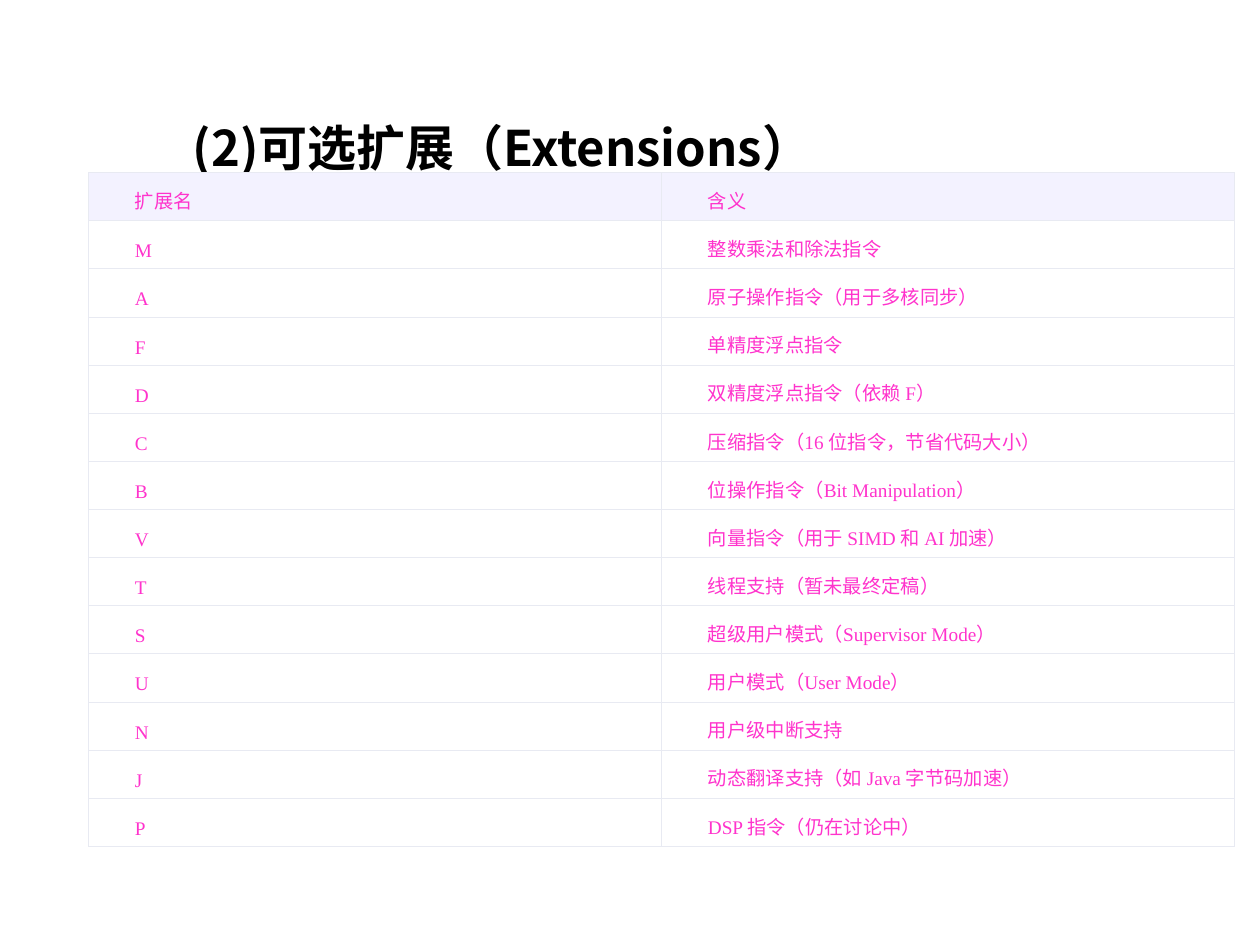
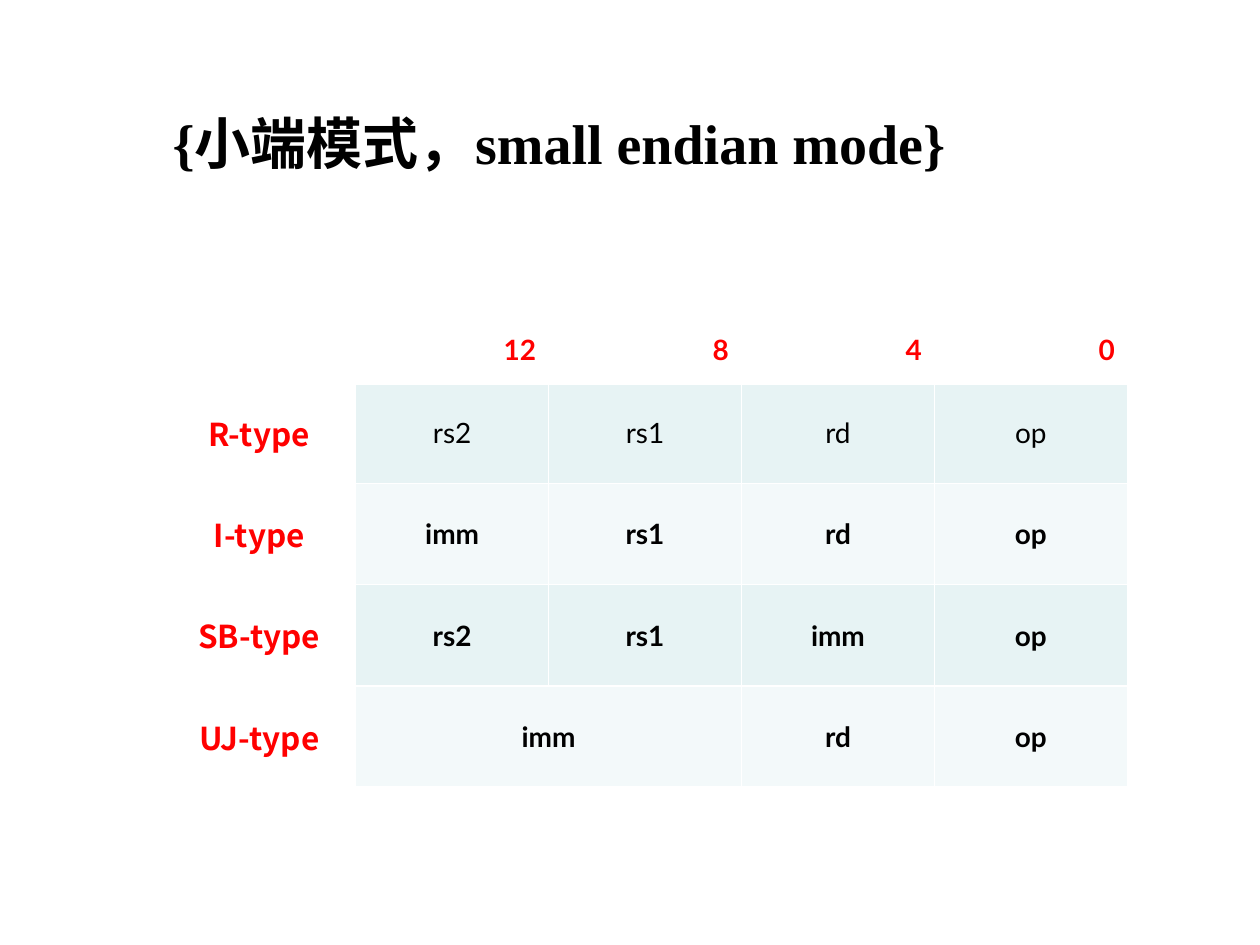
from lxml.etree import SubElement
from pptx import Presentation
from pptx.dml.color import RGBColor
from pptx.enum.text import MSO_ANCHOR as Anchor, MSO_AUTO_SIZE as AutoSize, PP_ALIGN as Align
from pptx.oxml.ns import qn
from pptx.util import Pt

COLORS = {
    "ink": "000000", "white": "FFFFFF", "pink": "FF33CC", "red": "FF0000",
    "header": "F3F2FF", "grid": "E8EAF2", "band_dark": "E7F3F4", "band_light": "F3F9FA",
}
CJK, SERIF, SANS = "Noto Sans CJK SC", "Times New Roman", "Lato"
TITLE_ONLY = 5

EXTENSIONS_TITLE = "(2)可选扩展（Extensions）"
EXTENSIONS = [
    ("扩展名", "含义"),
    ("M", "整数乘法和除法指令"),
    ("A", "原子操作指令（用于多核同步）"),
    ("F", "单精度浮点指令"),
    ("D", "双精度浮点指令（依赖 F）"),
    ("C", "压缩指令（16 位指令，节省代码大小）"),
    ("B", "位操作指令（Bit Manipulation）"),
    ("V", "向量指令（用于 SIMD 和 AI 加速）"),
    ("T", "线程支持（暂未最终定稿）"),
    ("S", "超级用户模式（Supervisor Mode）"),
    ("U", "用户模式（User Mode）"),
    ("N", "用户级中断支持"),
    ("J", "动态翻译支持（如 Java 字节码加速）"),
    ("P", "DSP 指令（仍在讨论中）"),
]

FORMATS_TITLE = "{小端模式，small endian mode}"
BIT_POSITIONS = ["12", "8", "4", "0"]
# None continues the field on its left
FORMATS = [
    ("R-type", ["rs2", "rs1", "rd", "op"]),
    ("I-type", ["imm", "rs1", "rd", "op"]),
    ("SB-type", ["rs2", "rs1", "imm", "op"]),
    ("UJ-type", ["imm", None, "rd", "op"]),
]


def split_by_font(text, latin):
    """Cut text into [piece, font] pairs; a space stays with the piece before it."""
    if latin == CJK:
        return [[text, CJK]]
    pieces = []
    for char in text:
        font = latin if char.isascii() else CJK
        if pieces and (char == " " or pieces[-1][1] == font):
            pieces[-1][0] += char
        else:
            pieces.append([char, font])
    return pieces


def write(frame, text, *, size, color="ink", latin=SANS, bold=True,
          align=Align.JUSTIFY, spacing=None, left=0, indent=0):
    para = frame.paragraphs[0]
    para.alignment = align
    if spacing:
        para.line_spacing = spacing
    properties = para._p.get_or_add_pPr()
    properties.set("marL", str(Pt(left)))
    properties.set("indent", str(Pt(indent)))
    for piece, font in split_by_font(text, latin):
        span = para.add_run()
        span.text = piece
        span.font.size = Pt(size)
        span.font.bold = bold
        span.font.name = font
        span.font.color.rgb = RGBColor.from_string(COLORS[color])
        SubElement(span._r.get_or_add_rPr(), qn("a:ea"), typeface=CJK)


def add_page(deck, title, box, **style):
    page = deck.slides.add_slide(deck.slide_layouts[TITLE_ONLY])
    shape = page.shapes.title
    shape.left, shape.top, shape.width, shape.height = map(Pt, box)
    frame = shape.text_frame
    frame.word_wrap = True
    frame.auto_size = AutoSize.NONE
    frame.vertical_anchor = Anchor.TOP
    write(frame, title, **style)
    return page


def add_grid(page, left, top, column_width, column_count, row_heights):
    frame = page.shapes.add_table(
        len(row_heights), column_count, Pt(left), Pt(top),
        Pt(column_width * column_count), Pt(sum(row_heights)))
    table = frame.table
    table.first_row = table.horz_banding = False
    for column in table.columns:
        column.width = Pt(column_width)
    for row, height in zip(table.rows, row_heights):
        row.height = Pt(height)
    return table


def style_cell(cell, fill, border, width, bottom_width=None):
    cell.vertical_anchor = Anchor.MIDDLE
    if fill:
        cell.fill.solid()
        cell.fill.fore_color.rgb = RGBColor.from_string(COLORS[fill])
    else:
        cell.fill.background()
    properties = cell._tc.get_or_add_tcPr()
    for position, side in enumerate("LRTB"):
        weight = bottom_width if side == "B" and bottom_width else width
        line = SubElement(properties, qn(f"a:ln{side}"), w=str(Pt(weight)))
        SubElement(SubElement(line, qn("a:solidFill")), qn("a:srgbClr"), val=COLORS[border])
        properties.insert(position, line)


def build_extensions(deck):
    page = add_page(deck, EXTENSIONS_TITLE, (82, 47, 571, 52),
                    size=28, latin=CJK, spacing=1.5, left=21)
    table = add_grid(page, 50.5, 98.5, 327.5, 2, [27.52] * len(EXTENSIONS))
    for row, entry in enumerate(EXTENSIONS):
        for column, text in enumerate(entry):
            cell = table.cell(row, column)
            cell.margin_left = cell.margin_right = Pt(5)
            cell.margin_top = cell.margin_bottom = Pt(2.5)
            style_cell(cell, "white" if row else "header", "grid", 0.25)
            write(cell.text_frame, text, size=11, color="pink", latin=SERIF,
                  bold=False, spacing=Pt(20), left=0.5, indent=21)


def build_formats(deck):
    page = add_page(deck, FORMATS_TITLE, (70.5, 77, 603, 73.5),
                    size=32, latin=SERIF, spacing=Pt(20), indent=21)
    table = add_grid(page, 93, 181.5, 110.25, 1 + len(BIT_POSITIONS),
                     [37] + [57.8] * len(FORMATS))
    for column, text in enumerate(["", *BIT_POSITIONS]):
        cell = table.cell(0, column)
        style_cell(cell, None, "white", 1, bottom_width=3)
        if text:
            write(cell.text_frame, text, size=16, color="red", align=Align.RIGHT)

    for row, (label, fields) in enumerate(FORMATS, 1):
        label_cell = table.cell(row, 0)
        style_cell(label_cell, None, "white", 1)
        write(label_cell.text_frame, label, size=18, color="red", latin=CJK, align=Align.CENTER)
        for column, field in enumerate(fields, 1):
            cell = table.cell(row, column)
            style_cell(cell, "band_dark" if row % 2 else "band_light", "white", 1)
            if field is None:
                table.cell(row, column - 1).merge(cell)
            else:
                write(cell.text_frame, field, size=16, bold=row > 1, align=Align.CENTER)


def main():
    deck = Presentation()
    deck.slide_width, deck.slide_height = Pt(720), Pt(540)
    build_extensions(deck)
    build_formats(deck)
    deck.save("out.pptx")


if __name__ == "__main__":
    main()
